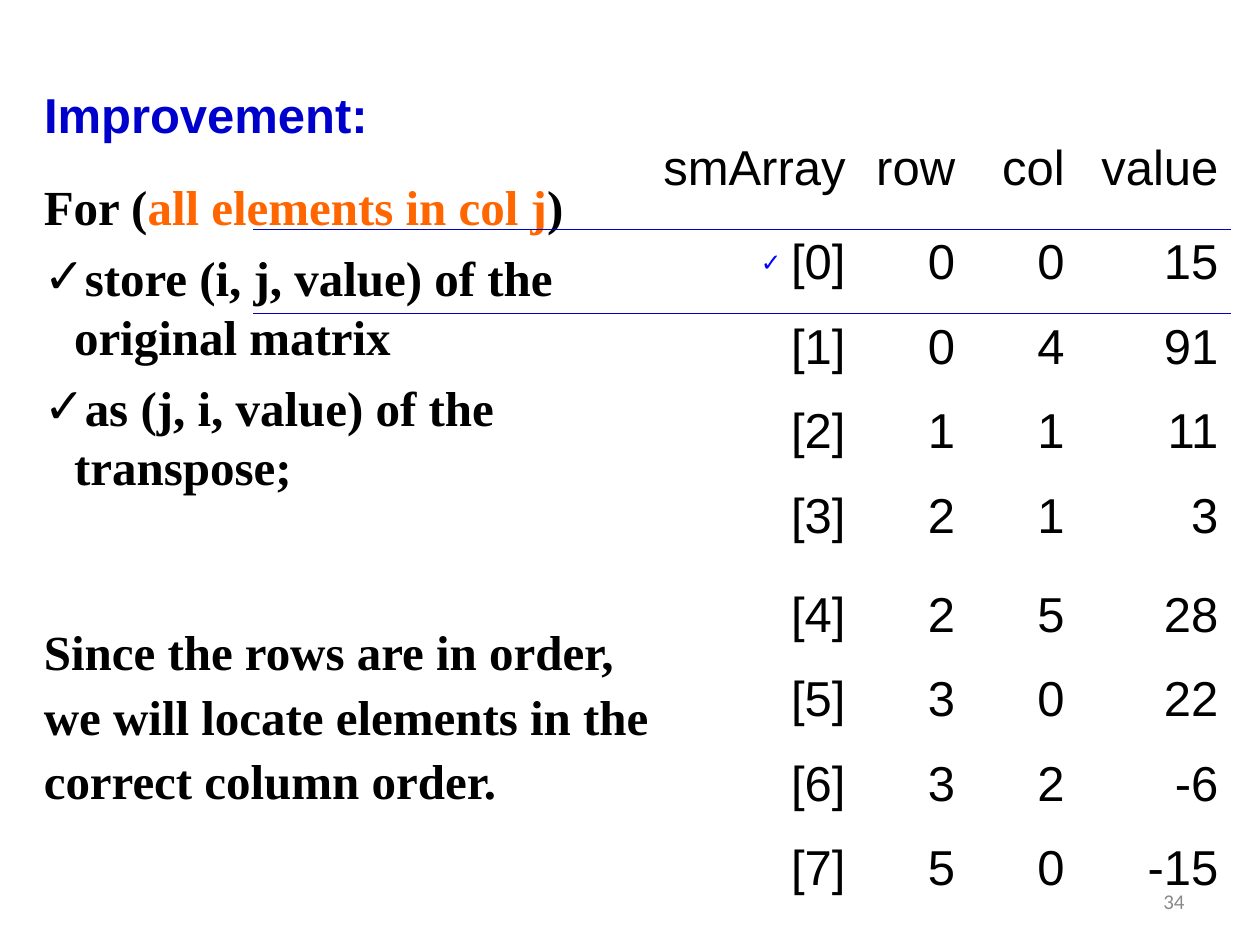
"""Build the slide on transposing a sparse matrix column by column."""
from dataclasses import dataclass

from lxml import etree
from pptx import Presentation
from pptx.dml.color import RGBColor
from pptx.enum.text import MSO_ANCHOR, MSO_AUTO_SIZE, PP_ALIGN
from pptx.oxml.ns import qn
from pptx.table import _Cell
from pptx.text.text import TextFrame, _Paragraph
from pptx.util import Inches, Pt

LEFT, RIGHT = PP_ALIGN.LEFT, PP_ALIGN.RIGHT
TOP, MIDDLE = MSO_ANCHOR.TOP, MSO_ANCHOR.MIDDLE
NO_AUTOFIT = MSO_AUTO_SIZE.NONE
NO_GRID_STYLE = "{2D5ABB26-0587-4C30-8999-92F81FD0307C}"


@dataclass(frozen=True)
class Theme:
    heading: str = "0000CC"
    body: str = "000000"
    accent: str = "FF6600"
    check: str = "0000FF"
    number: str = "898989"
    rule: str = "0000CC"
    sans: str = "Arial"
    serif: str = "Times New Roman"
    footer: str = "Calibri"
    text_size: float = 28
    number_size: float = 12
    rule_width: float = 0.45
    hanging: float = 0.24


@dataclass(frozen=True)
class Step:
    pieces: tuple[tuple[str, str], ...]
    before: float = 0
    spacing: float | None = None
    checked: bool = False


THEME = Theme()
STEPS = (
    Step((("For (", THEME.body), ("all elements in col j", THEME.accent), (")", THEME.body))),
    Step((("store (i, j, value) of the original matrix", THEME.body),), before=7, checked=True),
    Step((("as (j, i, value) of the transpose;", THEME.body),), before=7, checked=True),
    Step(
        (("Since the rows are in order, we will locate elements in the correct column order.", THEME.body),),
        before=69,
        spacing=1.1,
    ),
)
HEADER = ("smArray", "row", "col", "value")
TERMS = ((0, 0, 15), (0, 4, 91), (1, 1, 11), (2, 1, 3), (2, 5, 28), (3, 0, 22), (3, 2, -6), (5, 0, -15))
COLUMN_WIDTHS = (4.8, 0.87, 0.87, 1.22)
ROW_HEIGHT = 0.67
TALL_ROWS = {0: 0.75, 4: 0.79}


def write(paragraph: _Paragraph, text: str, *, font: str = THEME.sans, size: float = THEME.text_size,
          color: str = THEME.body, bold: bool = False, align: PP_ALIGN = LEFT) -> None:
    """Append formatted text to a paragraph."""
    paragraph.alignment = align
    run = paragraph.add_run()
    run.text = text
    run.font.name = font
    run.font.size = Pt(size)
    run.font.bold = bold
    run.font.color.rgb = RGBColor.from_string(color)


def add_check(paragraph: _Paragraph, color: str, percent: int = 100) -> None:
    """Give a paragraph a hanging check mark."""
    properties = paragraph._p.get_or_add_pPr()
    hanging = Inches(THEME.hanging)
    properties.set("marL", str(hanging))
    properties.set("indent", str(-hanging))
    bullet_color = etree.SubElement(properties, qn("a:buClr"))
    etree.SubElement(bullet_color, qn("a:srgbClr"), val=color)
    etree.SubElement(properties, qn("a:buSzPct"), val=str(percent * 1000))
    etree.SubElement(properties, qn("a:buFont"), typeface=THEME.sans)
    etree.SubElement(properties, qn("a:buChar"), char="✓")


def add_rule(cell: _Cell, side: str) -> None:
    """Draw a thin line along one side of a cell."""
    line = etree.Element(qn(f"a:{side}"), w=str(Pt(THEME.rule_width)))
    fill = etree.SubElement(line, qn("a:solidFill"))
    etree.SubElement(fill, qn("a:srgbClr"), val=THEME.rule)
    cell._tc.get_or_add_tcPr().insert(0, line)


def prepare(frame: TextFrame, anchor: MSO_ANCHOR = TOP) -> _Paragraph:
    """Set up a wrapping frame and return its first paragraph."""
    frame.word_wrap = True
    frame.auto_size = NO_AUTOFIT
    frame.vertical_anchor = anchor
    return frame.paragraphs[0]


def add_title(slide, text: str) -> None:
    """Place the heading in the title placeholder."""
    title = slide.shapes.title
    title.left, title.top, title.width, title.height = map(Inches, (0.25, 0.62, 5.06, 0.6))
    write(prepare(title.text_frame), text, color=THEME.heading, bold=True)


def add_steps(slide, steps: tuple[Step, ...]) -> None:
    """Write the algorithm steps below the heading."""
    frame = slide.shapes.add_textbox(*map(Inches, (0.25, 1.35, 5.06, 5.07))).text_frame
    paragraph = prepare(frame)
    for index, step in enumerate(steps):
        if index:
            paragraph = frame.add_paragraph()
            paragraph.space_before = Pt(step.before)
        if step.spacing:
            paragraph.line_spacing = step.spacing
        if step.checked:
            add_check(paragraph, THEME.body)
        for text, color in step.pieces:
            write(paragraph, text, font=THEME.serif, color=color, bold=True)


def add_terms(slide) -> None:
    """Tabulate the stored terms of the sparse matrix."""
    rows = [HEADER, *((f"[{index}]", *term) for index, term in enumerate(TERMS))]
    heights = [TALL_ROWS.get(index, ROW_HEIGHT) for index in range(len(rows))]
    frame = slide.shapes.add_table(
        len(rows), len(HEADER), *map(Inches, (2.01, 1.07, sum(COLUMN_WIDTHS), sum(heights))))
    table = frame.table
    table.first_row = table.horz_banding = False
    table._tbl.tblPr.find(qn("a:tableStyleId")).text = NO_GRID_STYLE
    for column, width in zip(table.columns, COLUMN_WIDTHS):
        column.width = Inches(width)
    for row_index, (row, height, values) in enumerate(zip(table.rows, heights, rows)):
        row.height = Inches(height)
        for column_index, (cell, value) in enumerate(zip(row.cells, values)):
            cell.fill.background()
            if row_index < 2:
                add_rule(cell, ("lnB", "lnT")[row_index])
            paragraph = cell.text_frame.paragraphs[0]
            if (row_index, column_index) == (1, 0):
                add_check(paragraph, THEME.check, 50)
            write(paragraph, str(value), align=RIGHT)


def add_page_number(slide, number: int) -> None:
    """Write the page number at the lower right."""
    frame = slide.shapes.add_textbox(*map(Inches, (7.17, 6.95, 2.33, 0.4))).text_frame
    write(prepare(frame, MIDDLE), str(number), font=THEME.footer, size=THEME.number_size,
          color=THEME.number, align=RIGHT)


def main() -> None:
    """Assemble and save the slide."""
    presentation = Presentation()
    presentation.slide_width, presentation.slide_height = Inches(10), Inches(7.5)
    slide = presentation.slides.add_slide(presentation.slide_layouts[5])
    add_page_number(slide, 34)
    add_title(slide, "Improvement:")
    add_steps(slide, STEPS)
    add_terms(slide)
    presentation.save("out.pptx")


if __name__ == "__main__":
    main()
